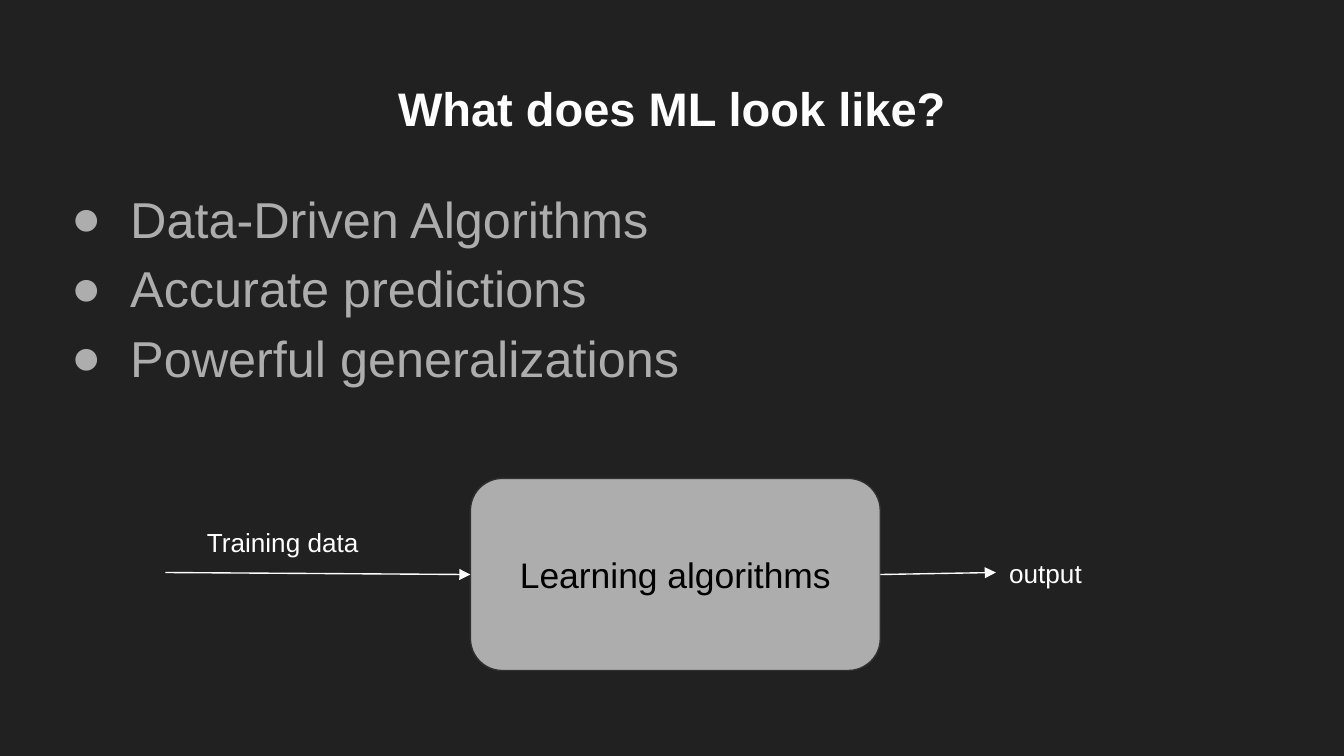
"""Build the slide that sketches what machine learning looks like."""
from lxml import etree
from pptx import Presentation, util as u
from pptx.dml.color import RGBColor
from pptx.enum import shapes, text
from pptx.oxml.ns import qn

TITLE = "What does ML look like?"
POINTS = ["Data-Driven Algorithms", "Accurate predictions", "Powerful generalizations"]
MODEL = "Learning algorithms"
LABELS = [("Training data", (1.44, 3.82, 1.85, 0.44)), ("output", (7.41, 4.05, 1.73, 0.44))]
MODEL_BOX = (3.5, 3.56, 3.05, 1.43)
INPUT_START, OUTPUT_END = (1.23, 4.26), (7.41, 4.26)
SLIDE_WIDTH = 10
SLIDE_HEIGHT = SLIDE_WIDTH * 9 / 16

BACKGROUND = RGBColor(0x21, 0x21, 0x21)
WHITE = RGBColor(0xFF, 0xFF, 0xFF)
BLACK = RGBColor(0, 0, 0)
GREY = RGBColor(0xAD, 0xAD, 0xAD)
OUTLINE = RGBColor(0x30, 0x30, 0x30)


def inches(values):
    return [u.Inches(v) for v in values]


def place(sp, box):
    sp.left, sp.top, sp.width, sp.height = inches(box)


def set_frame(sp, anchor=text.MSO_ANCHOR.TOP):
    tf = sp.text_frame
    tf.word_wrap = True
    tf.auto_size = text.MSO_AUTO_SIZE.NONE
    tf.vertical_anchor = anchor
    tf.margin_left = tf.margin_top = tf.margin_right = tf.margin_bottom = u.Inches(0.1)
    return tf


def write(p, words, size, color, bold=False, align=text.PP_ALIGN.LEFT):
    p.alignment = align
    r = p.add_run()
    r.text = words
    r.font.name, r.font.size, r.font.bold = "Arial", u.Pt(size), bold
    r.font.color.rgb = color


def add_bullet(p):
    pPr = p._p.get_or_add_pPr()
    pPr.set("marL", str(u.Inches(0.5)))
    pPr.set("indent", str(u.Inches(-0.44)))
    color = etree.SubElement(pPr, qn("a:buClr"))
    etree.SubElement(color, qn("a:srgbClr"), val=str(GREY))
    etree.SubElement(pPr, qn("a:buFont"), typeface="Arial")
    etree.SubElement(pPr, qn("a:buChar"), char="●")


def add_arrow(s, start, end):
    line = s.shapes.add_connector(shapes.MSO_CONNECTOR.STRAIGHT, *inches(start + end))
    line.line.color.rgb = WHITE
    line.line.width = u.Pt(0.75)
    etree.SubElement(line.line._get_or_add_ln(), qn("a:tailEnd"), type="triangle")
    etree.SubElement(line._element.spPr, qn("a:effectLst"))
    return line


def main():
    prs = Presentation()
    prs.slide_width, prs.slide_height = inches((SLIDE_WIDTH, SLIDE_HEIGHT))
    s = prs.slides.add_slide(prs.slide_layouts[5])
    s.background.fill.solid()
    s.background.fill.fore_color.rgb = BACKGROUND

    title = s.shapes.title
    place(title, (0.34, 0.49, 9.32, 0.63))
    write(set_frame(title).paragraphs[0], TITLE, 25.2, WHITE, True, text.PP_ALIGN.CENTER)

    tf = set_frame(s.shapes.add_textbox(*inches((0.37, 1.23, 9.32, 3.74))))
    for i, point in enumerate(POINTS):
        p = tf.add_paragraph() if i else tf.paragraphs[0]
        p.line_spacing = 1.15
        add_bullet(p)
        write(p, point, 27, GREY)

    model = s.shapes.add_shape(shapes.MSO_SHAPE.ROUNDED_RECTANGLE, *inches(MODEL_BOX))
    model.shadow.inherit = False
    model.fill.solid()
    model.fill.fore_color.rgb = GREY
    model.line.color.rgb = OUTLINE
    model.line.width = u.Pt(0.75)
    tf = set_frame(model, text.MSO_ANCHOR.MIDDLE)
    write(tf.paragraphs[0], MODEL, 19, BLACK, align=text.PP_ALIGN.CENTER)

    left, top, width, height = MODEL_BOX
    middle = top + height / 2
    add_arrow(s, INPUT_START, (left, middle)).end_connect(model, 1)
    add_arrow(s, (left + width, middle), OUTPUT_END).begin_connect(model, 3)

    for words, box in LABELS:
        tf = set_frame(s.shapes.add_textbox(*inches(box)))
        tf.auto_size = text.MSO_AUTO_SIZE.SHAPE_TO_FIT_TEXT
        write(tf.paragraphs[0], words, 14, WHITE)

    prs.save("out.pptx")


if __name__ == "__main__":
    main()
